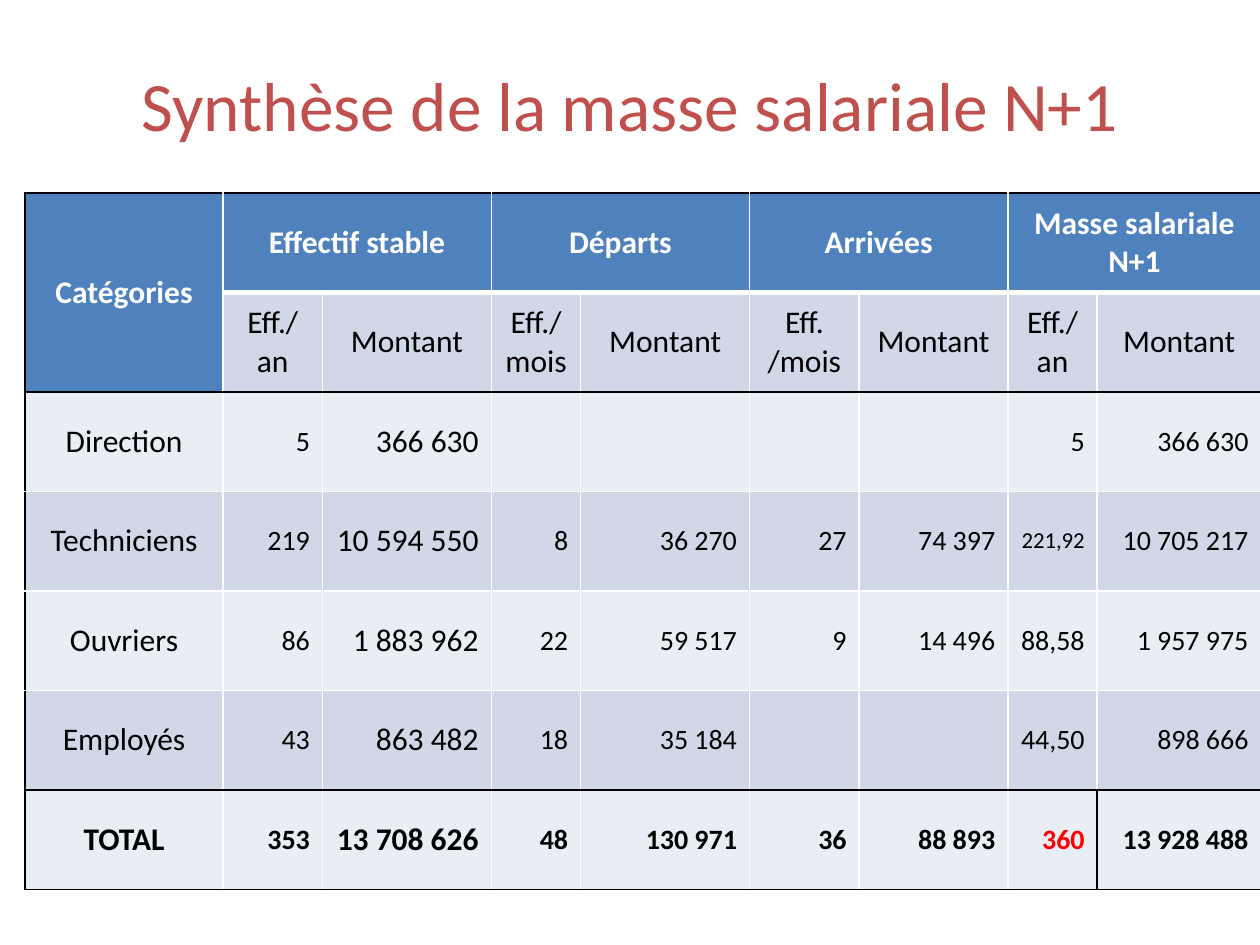
from dataclasses import dataclass

from lxml.etree import SubElement
from pptx import Presentation
from pptx.dml.color import RGBColor
from pptx.enum.text import MSO_ANCHOR, PP_ALIGN
from pptx.oxml.ns import qn
from pptx.util import Inches, Pt


@dataclass(frozen=True)
class Theme:
    font: str = "Calibri"
    title: str = "C0504D"
    header: str = "4F81BD"
    band_dark: str = "D0D8E8"
    band_light: str = "E9EDF4"
    white: str = "FFFFFF"
    black: str = "000000"
    alert: str = "FF0000"
    title_size: float = 39.6
    label_size: float = 18
    number_size: float = 16
    small_size: float = 13


@dataclass(frozen=True)
class TextStyle:
    size: float
    color: str
    bold: bool = False
    align: PP_ALIGN = PP_ALIGN.CENTER


@dataclass(frozen=True)
class Category:
    name: str
    figures: tuple[str, ...]


THEME = Theme()
COLUMN_WIDTHS = (1.57, 0.79, 1.34, 0.71, 1.34, 0.87, 1.18, 0.71, 1.3)
ROW_HEIGHT = 0.79
GROUPS = ("Effectif stable", "Départs", "Arrivées", "Masse salariale N+1")
HEADCOUNT_UNITS = ("Eff./ an", "Eff./mois", "Eff. /mois", "Eff./ an")
CATEGORIES = (
    Category("Direction", ("5", "366 630", "", "", "", "", "5", "366 630")),
    Category("Techniciens", ("219", "10 594 550", "8", "36 270", "27", "74 397",
                             "221,92", "10 705 217")),
    Category("Ouvriers", ("86", "1 883 962", "22", "59 517", "9", "14 496",
                          "88,58", "1 957 975")),
    Category("Employés", ("43", "863 482", "18", "35 184", "", "",
                          "44,50", "898 666")),
    Category("TOTAL", ("353", "13 708 626", "48", "130 971", "36", "88 893",
                       "360", "13 928 488")),
)
FIRST_BODY_ROW = 2
TOTAL_ROW = FIRST_BODY_ROW + len(CATEGORIES) - 1
STABLE_AMOUNT, FINAL_HEADCOUNT, LAST_COLUMN = 2, 7, 8


def write(frame, text: str, style: TextStyle) -> None:
    paragraph = frame.paragraphs[0]
    paragraph.text = text
    paragraph.alignment = style.align
    font = paragraph.font
    font.name, font.size, font.bold = THEME.font, Pt(style.size), style.bold
    font.color.rgb = RGBColor.from_string(style.color)


def draw_borders(cell, row: int, column: int) -> None:
    left_black = column == 0 or (row == TOTAL_ROW and column == LAST_COLUMN)
    right_black = column == LAST_COLUMN or (
        row == TOTAL_ROW and column == FINAL_HEADCOUNT)
    top_black = row in (0, FIRST_BODY_ROW, TOTAL_ROW)
    bottom_black = row in (1, TOTAL_ROW - 1, TOTAL_ROW) or (row, column) == (0, 0)
    sides = (("L", left_black), ("R", right_black),
             ("T", top_black), ("B", bottom_black))
    properties = cell._tc.get_or_add_tcPr()
    for side, is_black in sides:
        under_groups = row == 0 and column > 0 and side == "B"
        line = SubElement(properties, qn(f"a:ln{side}"),
                          w=str(Pt(3 if under_groups else 1)))
        fill = SubElement(line, qn("a:solidFill"))
        SubElement(fill, qn("a:srgbClr"),
                   val=THEME.black if is_black else THEME.white)


def fill_color(row: int, column: int) -> str:
    if row == 0 or (row == 1 and column == 0):
        return THEME.header
    return THEME.band_dark if row % 2 else THEME.band_light


def figure_style(row: int, column: int) -> TextStyle:
    size, color = THEME.number_size, THEME.black
    if column == STABLE_AMOUNT:
        size = THEME.label_size
    elif column == FINAL_HEADCOUNT and row == FIRST_BODY_ROW + 1:
        size = THEME.small_size
    elif column == FINAL_HEADCOUNT and row == TOTAL_ROW:
        color = THEME.alert
    return TextStyle(size, color, row == TOTAL_ROW, PP_ALIGN.RIGHT)


def add_title(slide) -> None:
    title = slide.shapes.add_textbox(Inches(0.5), Inches(0.44),
                                     Inches(9), Inches(0.77)).text_frame
    title.word_wrap = True
    title.vertical_anchor = MSO_ANCHOR.MIDDLE
    write(title, "Synthèse de la masse salariale N+1",
          TextStyle(THEME.title_size, THEME.title))


def add_payroll_table(slide) -> None:
    row_count = TOTAL_ROW + 1
    table = slide.shapes.add_table(
        row_count, len(COLUMN_WIDTHS), Inches(0.2), Inches(1.53),
        Inches(sum(COLUMN_WIDTHS)), Inches(ROW_HEIGHT * row_count)).table
    for column, width in zip(table.columns, COLUMN_WIDTHS):
        column.width = Inches(width)

    # Borders, fills and anchoring
    for r, row in enumerate(table.rows):
        row.height = Inches(ROW_HEIGHT)
        for c, cell in enumerate(row.cells):
            draw_borders(cell, r, c)
            cell.fill.solid()
            cell.fill.fore_color.rgb = RGBColor.from_string(fill_color(r, c))
            cell.vertical_anchor = MSO_ANCHOR.MIDDLE

    # Two header rows
    heading = TextStyle(THEME.label_size, THEME.white, bold=True)
    label = TextStyle(THEME.label_size, THEME.black)
    table.cell(0, 0).merge(table.cell(1, 0))
    write(table.cell(0, 0).text_frame, "Catégories", heading)
    for index, (group, unit) in enumerate(zip(GROUPS, HEADCOUNT_UNITS)):
        first = 1 + 2 * index
        table.cell(0, first).merge(table.cell(0, first + 1))
        write(table.cell(0, first).text_frame, group, heading)
        write(table.cell(1, first).text_frame, unit, label)
        write(table.cell(1, first + 1).text_frame, "Montant", label)

    # Categories and total
    for r, category in enumerate(CATEGORIES, FIRST_BODY_ROW):
        write(table.cell(r, 0).text_frame, category.name,
              TextStyle(THEME.label_size, THEME.black, r == TOTAL_ROW))
        for c, figure in enumerate(category.figures, 1):
            cell = table.cell(r, c)
            cell.margin_left = Inches(0.05)
            write(cell.text_frame, figure, figure_style(r, c))


def main() -> None:
    presentation = Presentation()
    presentation.slide_width, presentation.slide_height = Inches(10), Inches(7.5)
    slide = presentation.slides.add_slide(presentation.slide_layouts[6])
    add_title(slide)
    add_payroll_table(slide)
    presentation.save("out.pptx")


if __name__ == "__main__":
    main()
